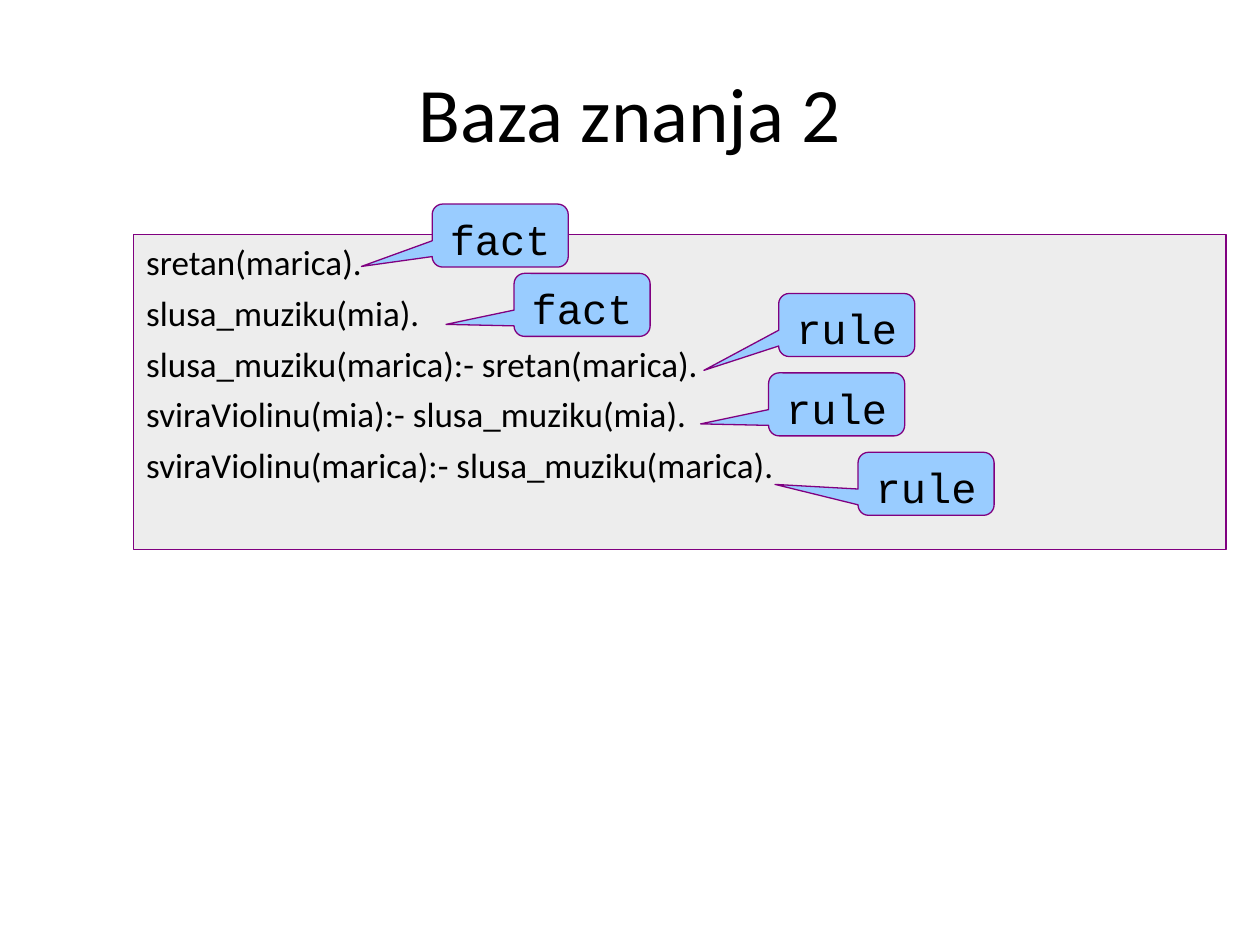
from lxml import etree
from pptx import Presentation
from pptx.dml.color import RGBColor
from pptx.enum import shapes, text
from pptx.oxml import ns
from pptx.util import Inches, Pt

BLACK = RGBColor(0x00, 0x00, 0x00)
GRAY = RGBColor(0xDD, 0xDD, 0xDD)
BLUE = RGBColor(0x99, 0xCC, 0xFF)
PURPLE = RGBColor(0x80, 0x00, 0x80)

CLAUSES = [
    "sretan(marica).",
    "slusa_muziku(mia).",
    "slusa_muziku(marica):- sretan(marica).",
    "sviraViolinu(mia):- slusa_muziku(mia).",
    "sviraViolinu(marica):- slusa_muziku(marica).",
]
CALLOUT_SIZE = (1.08, 0.5)
CALLOUTS = [
    ("fact", 2.37, -0.24, -1.02, 0.49),
    ("fact", 3.02, 0.31, -1.0, 0.31),
    ("rule", 5.12, 0.47, -1.05, 0.72),
    ("rule", 5.04, 1.1, -1.0, 0.31),
    ("rule", 5.75, 1.73, -1.11, 0.01),
]


def place(part, left, top, width, height):
    part.left, part.top = Inches(left), Inches(top)
    part.width, part.height = Inches(width), Inches(height)


def style_paragraph(paragraph, font_name, size, alignment, space_before=0):
    paragraph.font.name = font_name
    paragraph.font.size = Pt(size)
    paragraph.font.color.rgb = BLACK
    paragraph.alignment = alignment
    paragraph.space_before = Pt(space_before)


def style_box(box, color):
    box.fill.solid()
    box.fill.fore_color.rgb = color
    box.line.color.rgb = PURPLE
    box.line.width = Pt(0.75)


def add_heading(slide, left, top, width, height):
    heading = slide.shapes.title
    place(heading, left, top, width, height)
    heading.text_frame.text = "Baza znanja 2"
    heading.text_frame.vertical_anchor = text.MSO_ANCHOR.MIDDLE
    style_paragraph(heading.text_frame.paragraphs[0], "Calibri", 44, text.PP_ALIGN.CENTER)


def add_clauses(slide, left, top, width, height):
    clauses = slide.placeholders[1]
    place(clauses, left, top, width, height)
    style_box(clauses, GRAY)
    tint = clauses.fill._xPr.find(".//" + ns.qn("a:srgbClr"))
    etree.SubElement(tint, ns.qn("a:alpha"), val="50000")
    frame = clauses.text_frame
    frame.text = "\n".join(CLAUSES)
    frame.auto_size = text.MSO_AUTO_SIZE.NONE
    frame.vertical_anchor = text.MSO_ANCHOR.TOP
    for paragraph in frame.paragraphs:
        style_paragraph(paragraph, "Calibri", 20, text.PP_ALIGN.LEFT, 5)
        properties = paragraph._p.get_or_add_pPr()
        properties.set("marL", str(Inches(0.38)))
        properties.set("indent", str(Inches(-0.38)))
        etree.SubElement(properties, ns.qn("a:buNone"))
        properties.append(properties.find(ns.qn("a:defRPr")))


def add_callout(slide, label, left, top, tip_x, tip_y):
    width, height = CALLOUT_SIZE
    callout = slide.shapes.add_shape(
        shapes.MSO_SHAPE.ROUNDED_RECTANGULAR_CALLOUT,
        Inches(left), Inches(top), Inches(width), Inches(height),
    )
    callout.shadow.inherit = False
    style_box(callout, BLUE)
    callout.adjustments[0] = tip_x
    callout.adjustments[1] = tip_y
    frame = callout.text_frame
    frame.text = label
    frame.vertical_anchor = text.MSO_ANCHOR.TOP
    style_paragraph(frame.paragraphs[0], "Courier New", 24, text.PP_ALIGN.CENTER, 6)


def add_knowledge_base(slide, left, top, width, height):
    add_clauses(slide, left, top, width, height)
    for label, offset_x, offset_y, tip_x, tip_y in CALLOUTS:
        add_callout(slide, label, left + offset_x, top + offset_y, tip_x, tip_y)


def main():
    presentation = Presentation()
    presentation.slide_width = Inches(10)
    presentation.slide_height = Inches(7.5)
    slide = presentation.slides.add_slide(presentation.slide_layouts[1])
    add_heading(slide, 0.5, 0.3, 9, 1.17)
    add_knowledge_base(slide, 1.06, 1.86, 8.67, 2.5)
    presentation.save("out.pptx")


if __name__ == "__main__":
    main()
